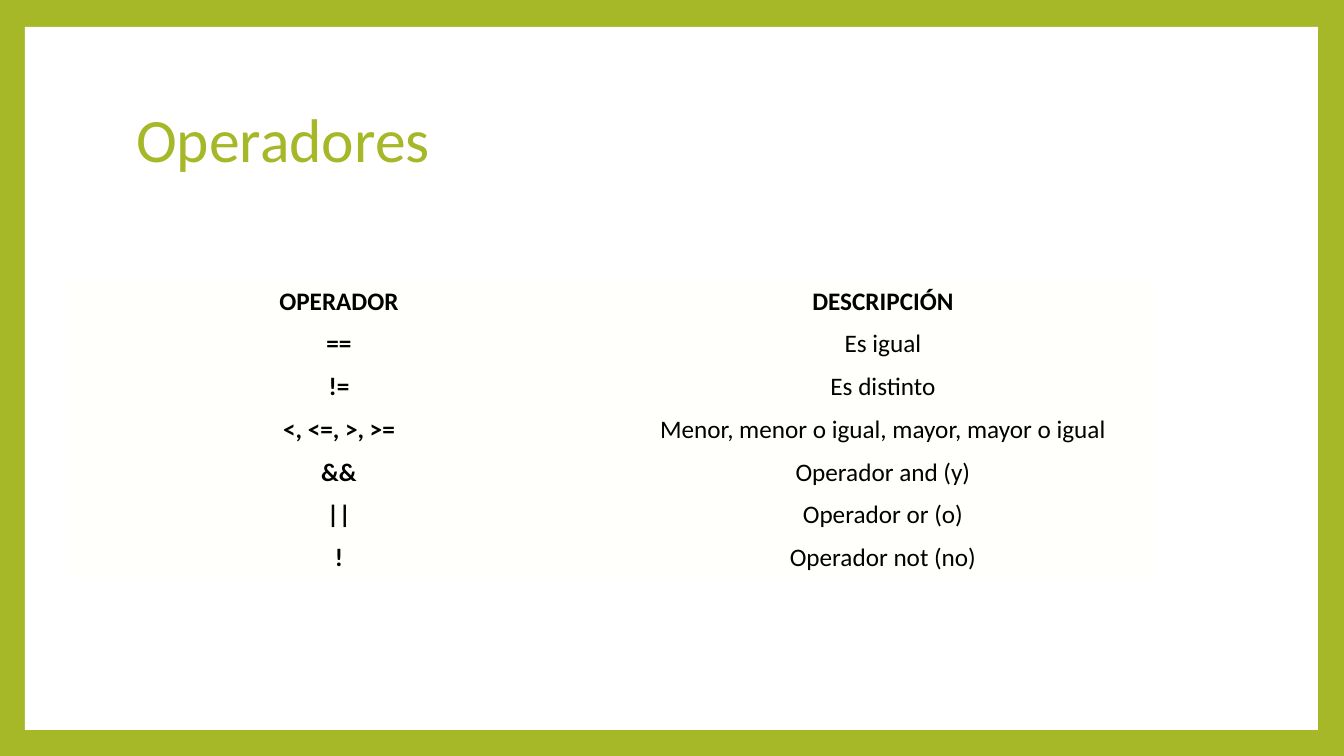
from dataclasses import dataclass
from typing import NamedTuple

from pptx import Presentation, util as u
from pptx.dml.color import RGBColor
from pptx.enum import shapes, text

PX = 12192000 / 1344  # EMU in one px


@dataclass(frozen=True)
class Theme:
    font: str = "Calibri"
    green: str = "A6B727"
    white: str = "FFFFFF"
    cell: str = "FFFFFC"
    ink: str = "000000"
    title_size: int = 44
    table_size: int = 18


class Box(NamedTuple):
    left: int
    top: int
    width: int
    height: int

    def emu(self) -> list[u.Emu]:
        return [px(v) for v in self]


class Operator(NamedTuple):
    symbol: str
    description: str


THEME = Theme()
PANEL = Box(25, 27, 1293, 703)
TITLE = Box(126, 68, 1089, 149)
TABLE = Box(67, 280, 1088, 294)
CELL_INSET = 6
NO_STYLE_NO_GRID = "{2D5ABB26-0587-4C30-8999-92F81FD0307C}"

HEADER = Operator("OPERADOR", "DESCRIPCIÓN")
OPERATORS = [
    Operator("==", "Es igual"),
    Operator("!=", "Es distinto"),
    Operator("<, <=, >, >=", "Menor, menor o igual, mayor, mayor o igual"),
    Operator("&&", "Operador and (y)"),
    Operator("||", "Operador or (o)"),
    Operator("!", "Operador not (no)"),
]


def px(value: float) -> u.Emu:
    return u.Emu(round(value * PX))


def fill_solid(fill, color: str) -> None:
    fill.solid()
    fill.fore_color.rgb = RGBColor.from_string(color)


def add_run(p, content: str, size: int, color: str, bold: bool = False) -> None:
    r = p.add_run()
    r.text = content
    r.font.name = THEME.font
    r.font.size = u.Pt(size)
    r.font.bold = bold
    r.font.color.rgb = RGBColor.from_string(color)


def add_panel(slide) -> None:
    """Put the white panel behind everything else on the slide."""
    sp = slide.shapes.add_shape(shapes.MSO_SHAPE.RECTANGLE, *PANEL.emu())
    sp.shadow.inherit = False
    fill_solid(sp.fill, THEME.white)
    sp.line.fill.background()
    slide.shapes.element.insert(2, sp.element)


def set_title(slide, content: str) -> None:
    sp = slide.shapes.title
    sp.left, sp.top, sp.width, sp.height = TITLE.emu()
    tf = sp.text_frame
    tf.vertical_anchor = text.MSO_ANCHOR.MIDDLE
    p = tf.paragraphs[0]
    p.alignment = text.PP_ALIGN.LEFT
    p.line_spacing = 0.9
    add_run(p, content, THEME.title_size, THEME.green)


def fill_cell(cell, content: str, bold: bool) -> None:
    fill_solid(cell.fill, THEME.cell)
    cell.vertical_anchor = text.MSO_ANCHOR.MIDDLE
    cell.margin_left = cell.margin_right = px(CELL_INSET)
    cell.margin_top = cell.margin_bottom = px(CELL_INSET)
    p = cell.text_frame.paragraphs[0]
    p.alignment = text.PP_ALIGN.CENTER
    add_run(p, content, THEME.table_size, THEME.ink, bold)


def add_operator_table(slide) -> None:
    rows = [HEADER, *OPERATORS]
    frame = slide.shapes.add_table(len(rows), len(HEADER), *TABLE.emu())
    table = frame.table
    table.horz_banding = False
    table._tbl.tblPr.find("{*}tableStyleId").text = NO_STYLE_NO_GRID
    for i, row in enumerate(rows):
        for j, content in enumerate(row):
            fill_cell(table.cell(i, j), content, bold=i == 0 or j == 0)


def main() -> None:
    prs = Presentation()
    prs.slide_width, prs.slide_height = px(1344), px(756)
    slide = prs.slides.add_slide(prs.slide_layouts.get_by_name("Title Only"))
    fill_solid(slide.background.fill, THEME.green)
    add_panel(slide)
    set_title(slide, "Operadores")
    add_operator_table(slide)
    prs.save("out.pptx")


if __name__ == "__main__":
    main()
